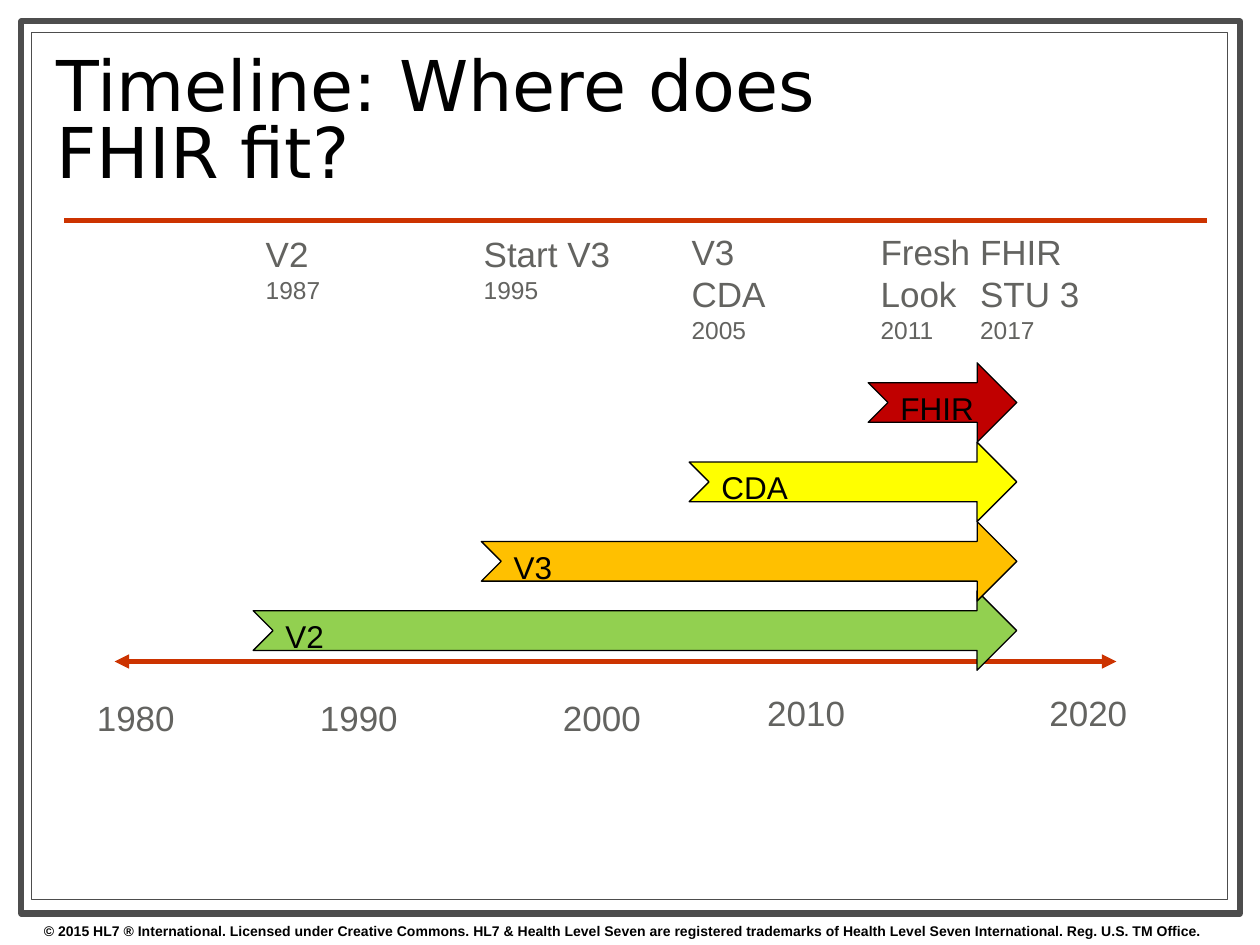
from pptx import Presentation
from pptx.dml.color import RGBColor
from pptx.enum.shapes import MSO_CONNECTOR, MSO_SHAPE
from pptx.enum.text import MSO_ANCHOR, MSO_AUTO_SIZE, PP_ALIGN
from pptx.oxml.ns import qn
from pptx.util import Inches, Pt
from lxml import etree

RECT = MSO_SHAPE.RECTANGLE
ARROW = MSO_SHAPE.NOTCHED_RIGHT_ARROW
STRAIGHT = MSO_CONNECTOR.STRAIGHT
LEFT = PP_ALIGN.LEFT
TOP = MSO_ANCHOR.TOP
MIDDLE = MSO_ANCHOR.MIDDLE
FIT = MSO_AUTO_SIZE.SHAPE_TO_FIT_TEXT
FIXED = MSO_AUTO_SIZE.NONE

COLORS = {
    "white": "FFFFFF",
    "black": "000000",
    "frame": "4D4D4D",
    "rule": "CC3300",
    "label": "636360",
    "fhir": "C00000",
    "cda": "FFFF00",
    "v3": "FFC000",
    "v2": "92D050",
}
ARROW_END = 8.07
NOTE = (
    "© 2015 HL7 ® International. Licensed under Creative Commons. "
    "HL7 & Health Level Seven are registered trademarks of "
    "Health Level Seven International. Reg. U.S. TM Office."
)
YEARS = [
    ("1980", 0.67, 5.48),
    ("1990", 2.44, 5.48),
    ("2000", 4.37, 5.48),
    ("2010", 5.99, 5.44),
    ("2020", 8.23, 5.44),
]
EVENTS = [
    (["V2"], "1987", 2.01, 1.8, 0.65),
    (["Start V3"], "1995", 3.74, 1.8, 1.22),
    (["V3", "CDA"], "2005", 5.39, 1.78, 0.82),
    (["Fresh", "Look"], "2011", 6.89, 1.78, 0.92),
    (["FHIR", "STU 3"], "2017", 7.68, 1.78, 1),
]
SPANS = [
    ("V2", 2.01, 4.69, "v2"),
    ("V3", 3.82, 4.14, "v3"),
    ("FHIR", 6.89, 2.88, "fhir"),
]


def color(name):
    return RGBColor.from_string(COLORS[name])


def style(para, size, hue, face="Arial", bold=False):
    para.alignment = LEFT
    para.font.size = Pt(size)
    para.font.name = face
    para.font.bold = bold
    para.font.color.rgb = color(hue)


def add_box(slide, kind, box, fill, line, width):
    shape = slide.shapes.add_shape(kind, *map(Inches, box))
    shape.shadow.inherit = False
    shape.fill.solid()
    shape.fill.fore_color.rgb = color(fill)
    shape.line.color.rgb = color(line)
    shape.line.width = Pt(width)
    return shape


def add_line(slide, start, end, y, width, heads=False):
    line = slide.shapes.add_connector(
        STRAIGHT, Inches(start), Inches(y), Inches(end), Inches(y)
    )
    line.line.color.rgb = color("rule")
    line.line.width = Pt(width)
    props = line._element.spPr
    etree.SubElement(props, qn("a:effectLst"))
    if heads:
        for tag in ("a:headEnd", "a:tailEnd"):
            etree.SubElement(props.find(qn("a:ln")), qn(tag), type="triangle")


def add_text(slide, lines, box, hue, wrap=False, bold=False):
    frame = slide.shapes.add_textbox(*map(Inches, box)).text_frame
    frame.word_wrap = wrap
    frame.auto_size = FIT
    frame.text = "\n".join(text for text, size in lines)
    for para, (text, size) in zip(frame.paragraphs, lines):
        style(para, size, hue, bold=bold)


def add_span(slide, name, left, top, fill):
    box = (left, top, ARROW_END - left, 0.63)
    shape = add_box(slide, ARROW, box, fill, "black", 0.75)
    frame = shape.text_frame
    frame.vertical_anchor = TOP
    frame.text = name
    style(frame.paragraphs[0], 18, "black")


def add_title(slide, text):
    title = slide.shapes.title
    title.left, title.top = Inches(0.35), Inches(0.36)
    title.width, title.height = Inches(7.17), Inches(1.26)
    frame = title.text_frame
    frame.text = text
    frame.word_wrap = True
    frame.auto_size = FIXED
    frame.vertical_anchor = MIDDLE
    para = frame.paragraphs[0]
    para.line_spacing = 0.8
    style(para, 40, "black", "DejaVu Sans")
    slide.shapes._spTree.append(title._element)


def main():
    prs = Presentation()
    prs.slide_width, prs.slide_height = Inches(10), Inches(7.5)
    slide = prs.slides.add_slide(prs.slide_layouts[5])

    add_box(slide, RECT, (0.17, 0.17, 9.67, 7.08), "white", "frame", 3.5)
    add_box(slide, RECT, (0.25, 0.26, 9.49, 6.88), "white", "frame", 0.75)
    add_line(slide, 0.51, 9.58, 1.75, 3)
    add_text(slide, [(NOTE, 8)], (0.25, 7.27, 9.7, 0.23), "black", True, True)
    add_span(slide, "CDA", 5.47, 3.51, "cda")
    add_title(slide, "Timeline: Where does FHIR fit?")
    add_line(slide, 0.91, 8.86, 5.25, 2.75, heads=True)

    for year, left, top in YEARS:
        add_text(slide, [(year, 20)], (left, top, 0.83, 0.44), "label")
    for names, year, left, top, width in EVENTS:
        lines = [(name, 20) for name in names] + [(year, 14)]
        height = 0.33 + 0.34 * len(names)
        add_text(slide, lines, (left, top, width, height), "label")
    for span in SPANS:
        add_span(slide, *span)

    prs.save("out.pptx")


if __name__ == "__main__":
    main()
